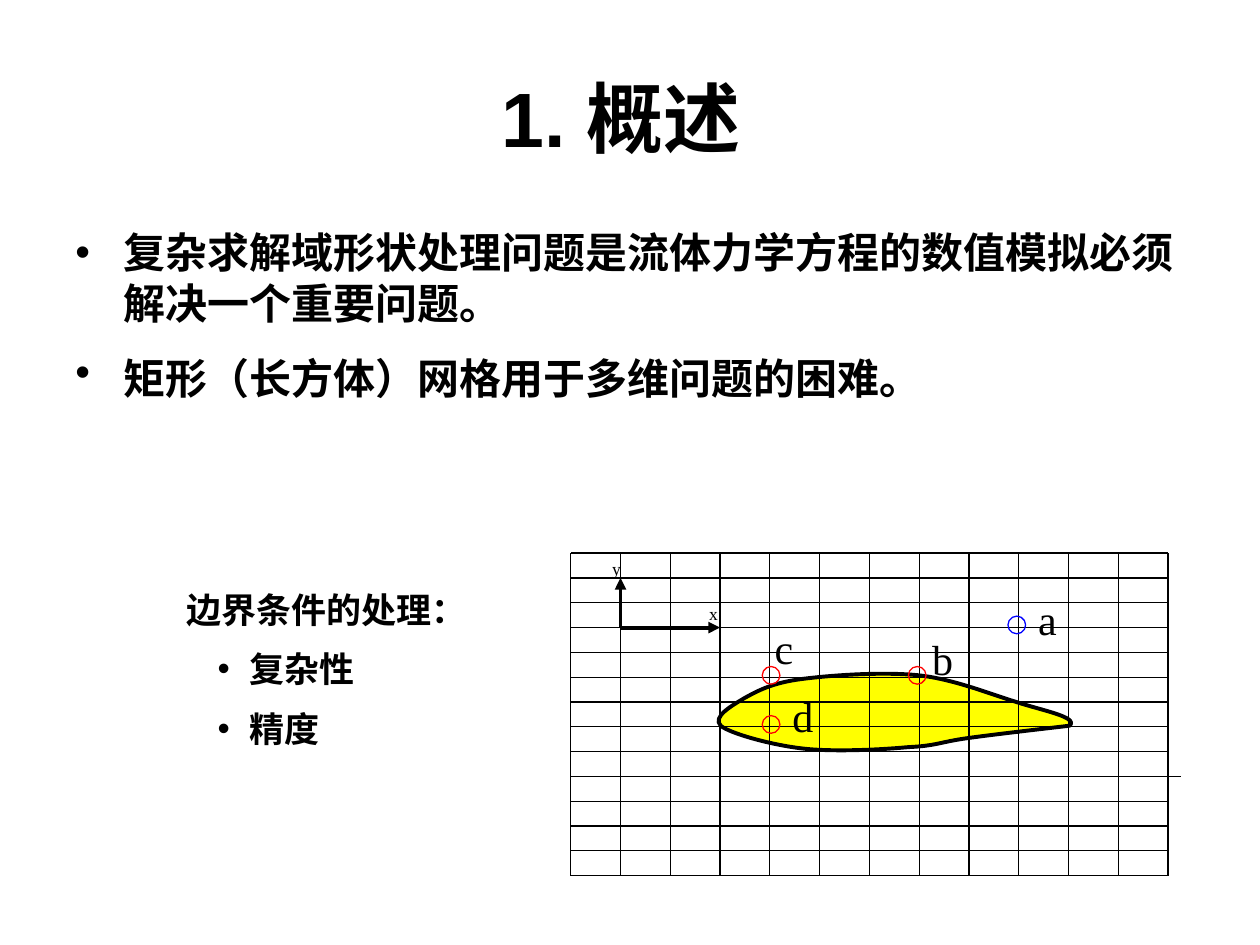
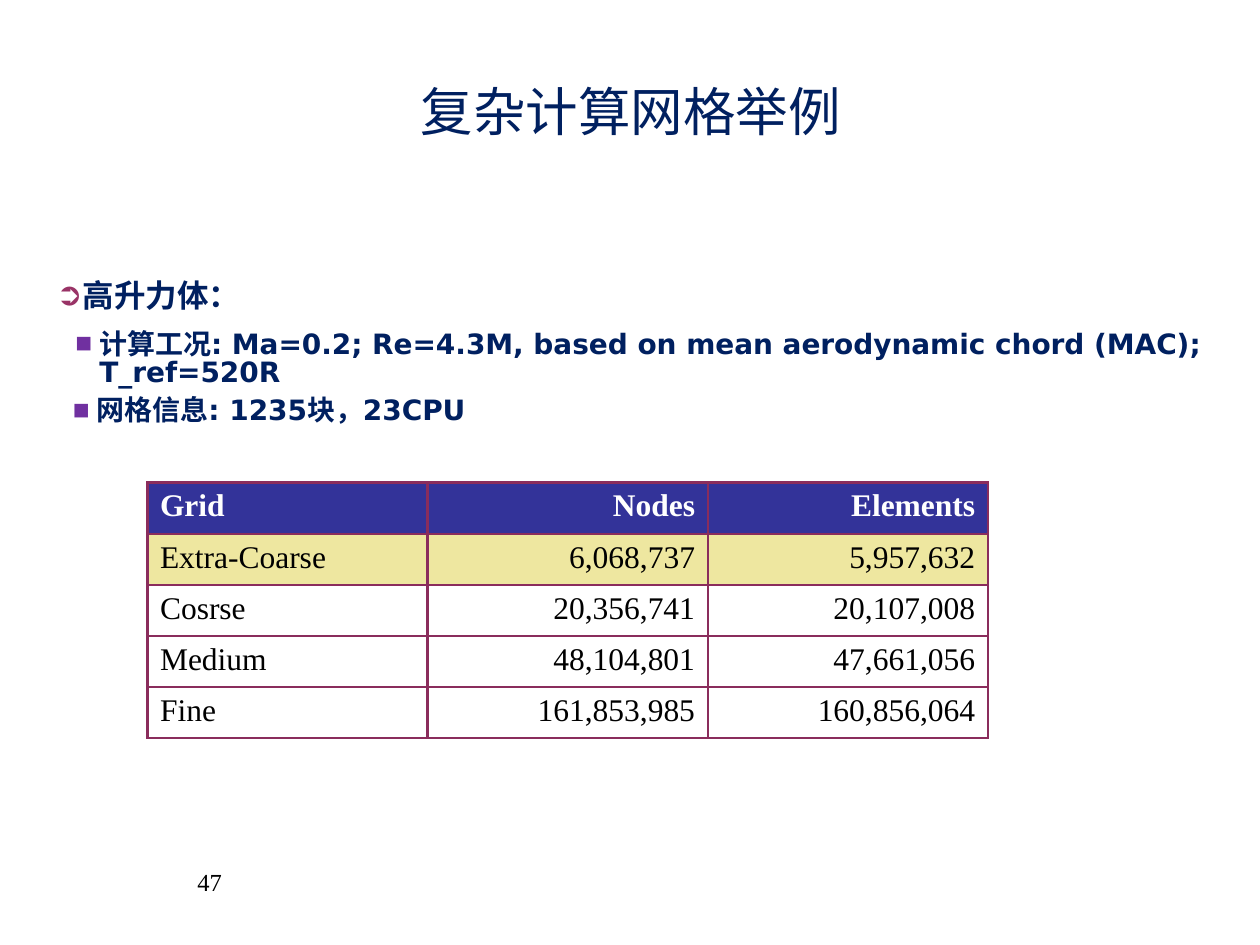
from pptx import Presentation
from pptx.dml.color import RGBColor as Rgb
from pptx.enum.shapes import MSO_CONNECTOR as Conn, MSO_SHAPE as Shape
from pptx.enum.text import MSO_ANCHOR as Anchor, PP_ALIGN as Align
from pptx.oxml.ns import qn
from pptx.util import Inches, Pt
from lxml.etree import SubElement as Sub

HUES = {"ink": "000000", "white": "FFFFFF", "navy": "002060", "head": "333399",
        "sand": "EEE7A0", "rule": "8A2D5C", "plum": "993366", "violet": "7030A0",
        "yellow": "FFFF00", "red": "FF0000", "blue": "0000FF"}
SANS, SERIF, HAN, WIDE = "Arial", "Times New Roman", "Noto Sans CJK SC", "DejaVu Sans"
SIDES = {"l": Align.LEFT, "c": Align.CENTER, "r": Align.RIGHT}

FOIL = [(3.96, 1.37),
        (4.03, 1.3), (3.74, 1.25), (3.53, 1.18),
        (3.33, 1.12), (3.04, 1), (2.76, 0.97),
        (2.47, 0.94), (2.06, 0.97), (1.83, 1),
        (1.6, 1.03), (1.49, 1.09), (1.38, 1.15),
        (1.28, 1.21), (1.12, 1.3), (1.19, 1.37),
        (1.26, 1.43), (1.58, 1.52), (1.83, 1.55),
        (2.08, 1.58), (2.46, 1.56), (2.68, 1.54),
        (2.9, 1.53), (2.93, 1.5), (3.14, 1.47),
        (3.35, 1.44), (3.79, 1.39), (3.96, 1.37)]
MARKS = [("a", 3.61, 0.27, 24), ("b", 2.77, 0.59, 24), ("c", 1.52, 0.5, 24),
         ("d", 1.66, 1.04, 24), ("x", 1, 0.35, 10), ("y", 0.23, -0.01, 10)]
RINGS = [(3.47, 0.5, "blue"), (2.68, 0.9, "red"), (1.52, 0.9, "red"), (1.52, 1.29, "red")]
ROWS = [("Grid", "Nodes", "Elements"),
        ("Extra-Coarse", "6,068,737", "5,957,632"),
        ("Cosrse", "20,356,741", "20,107,008"),
        ("Medium", "48,104,801", "47,661,056"),
        ("Fine", "161,853,985", "160,856,064")]


def rgb(name):
    return Rgb.from_string(HUES[name])


def write(para, text, size=18, face=SANS, hue="ink", bold=False, side="l",
          dot=None, tint=None, indent=None, before=None, lead=None, tail=None):
    props = para._p.get_or_add_pPr()
    if indent:
        props.set("marL", str(Inches(indent[0])))
        props.set("indent", str(Inches(indent[1])))
    if tint:
        Sub(Sub(props, qn("a:buClr")), qn("a:srgbClr"), val=HUES[tint])
    if dot:
        Sub(props, qn("a:buFont"), typeface=SANS)
        Sub(props, qn("a:buChar"), char=dot)
    para.alignment = SIDES[side]
    if before:
        para.space_before = Pt(before)
    if lead:
        para.line_spacing = lead
    run = para.add_run()
    run.text = text
    font = run.font
    font.size, font.name, font.bold = Pt(size), face, bold
    font.color.rgb = rgb(hue)
    if face == HAN:
        Sub(run._r.get_or_add_rPr(), qn("a:ea"), typeface=HAN)
    if tail:
        write(para, " ", tail, face, hue)


def label(slide, box, *items, mid=False, **base):
    frame = slide.shapes.add_textbox(*map(Inches, box)).text_frame
    frame.word_wrap = True
    frame.vertical_anchor = Anchor.MIDDLE if mid else Anchor.TOP
    for i, (text, extra) in enumerate(items):
        para = frame.add_paragraph() if i else frame.paragraphs[0]
        write(para, text, **{**base, **extra})


def title(slide, box, text, **style):
    label(slide, box, (text, {}), mid=True, side="c", **style)


def line(slide, x1, y1, x2, y2, width=0.75, arrow=False):
    link = slide.shapes.add_connector(Conn.STRAIGHT, *map(Inches, (x1, y1, x2, y2)))
    link.line.color.rgb = rgb("ink")
    link.line.width = Pt(width)
    if arrow:
        Sub(link.line._get_or_add_ln(), qn("a:tailEnd"), type="triangle")
    Sub(link._element.spPr, qn("a:effectLst"))


def paint(shape, fill, edge, width):
    shape.shadow.inherit = False
    if fill:
        shape.fill.solid()
        shape.fill.fore_color.rgb = rgb(fill)
    else:
        shape.fill.background()
    shape.line.color.rgb = rgb(edge)
    shape.line.width = Pt(width)


def bend(shape):
    legs = list(shape._element.iter(qn("a:lnTo")))
    for i in range(0, len(legs), 3):
        trio = legs[i:i + 3]
        curve = trio[0].makeelement(qn("a:cubicBezTo"), {})
        trio[0].addprevious(curve)
        for leg in trio:
            curve.append(leg[0])
            leg.getparent().remove(leg)


def foil(slide, left, top):
    dots = [(Inches(left + x), Inches(top + y)) for x, y in FOIL]
    pen = slide.shapes.build_freeform(*dots[0])
    pen.add_line_segments(dots[1:], close=True)
    wing = pen.convert_to_shape()
    bend(wing)
    paint(wing, "yellow", "ink", 2.25)


def mesh(slide, box, cols=12, rows=13):
    left, top, wide, high = box
    dx, dy = wide / cols, high / rows
    foil(slide, left, top)
    for i in range(cols + 1):
        line(slide, left + i * dx, top, left + i * dx, top + high)
    for j in range(rows + 1):
        line(slide, left, top + j * dy, left + wide, top + j * dy)
    line(slide, left + 0.1, top + 9 * dy, left + wide + 0.1, top + 9 * dy)
    for text, x, y, size in MARKS:
        label(slide, (left + x, top + y, 0.41, 0.51), (text, {}), size=size, face=SERIF)
    x, y = left + dx, top + 3 * dy
    line(slide, x, y, x + 2 * dx, y, 2.25, True)
    line(slide, x, y, x, y - 2 * dy, 2.25, True)
    for x, y, hue in RINGS:
        ring = slide.shapes.add_shape(
            Shape.OVAL, *map(Inches, (left + x, top + y, 0.14, 0.14)))
        paint(ring, None, hue, 0.75)


def edge(cell):
    props = cell._tc.get_or_add_tcPr()
    for tag in ("a:lnL", "a:lnR", "a:lnT", "a:lnB"):
        rule = Sub(props, qn(tag), w=str(Pt(1.5)))
        Sub(Sub(rule, qn("a:solidFill")), qn("a:srgbClr"), val=HUES["rule"])


def sizes(slide, box):
    grid = slide.shapes.add_table(len(ROWS), len(ROWS[0]), *map(Inches, box)).table
    grid.first_row = grid.horz_banding = False
    fills = {0: "head", 1: "sand"}
    for i, row in enumerate(ROWS):
        for j, text in enumerate(row):
            cell = grid.cell(i, j)
            edge(cell)
            if i in fills:
                cell.fill.solid()
                cell.fill.fore_color.rgb = rgb(fills[i])
            else:
                cell.fill.background()
            write(cell.text_frame.paragraphs[0], text, face=SERIF, bold=i == 0,
                  hue="ink" if i else "white", side="r" if j else "l")


def intro(slide):
    title(slide, (0.5, 0.3, 9, 1.25), "1. 概述 ", size=44, bold=True)
    label(slide, (0.5, 1.75, 9, 4.95),
          ("复杂求解域形状处理问题是流体力学方程的数值模拟必须解决一个重要问题。", {}),
          ("矩形（长方体）网格用于多维问题的困难。", {"before": 6.4, "tail": 32}),
          size=24, bold=True, dot="•", indent=(0.38, -0.38))
    mesh(slide, (4.53, 4.39, 4.74, 2.56))
    point = {"dot": "•", "indent": (0.5, -0.25), "before": 10}
    label(slide, (1.38, 4.62, 2.6, 1.93), ("边界条件的处理：", {}),
          ("复杂性", point), ("精度", point), size=20, bold=True)


def sample(slide):
    label(slide, (0.5, 6.83, 2.33, 0.52), ("47", {}), size=14, face=SERIF, side="c")
    base = {"hue": "navy", "bold": True, "indent": (0.19, -0.19)}
    label(slide, (0.35, 2.08, 3.23, 0.49), ("高升力体：", {}),
          face=HAN, dot="➲", tint="plum", lead=1.2, **base)
    facts = [((0.5, 2.58, 9.25, 0.39), "计算工况: Ma=0.2; Re=4.3M, based on mean "
              "aerodynamic chord (MAC); T_ref=520R"),
             ((0.48, 3.11, 8.84, 0.39), "网格信息: 1235块，23CPU")]
    for box, text in facts:
        label(slide, box, (text, {}), size=16, face=WIDE, dot="■", tint="violet",
              lead=0.85, **base)
    sizes(slide, (1.17, 3.83, 6.67, 2.03))
    title(slide, (0.67, 0.5, 8.67, 0.76), "复杂计算网格举例",
          size=30, face=HAN, hue="navy")


def main():
    deck = Presentation()
    deck.slide_width, deck.slide_height = Inches(10), Inches(7.5)
    for build in (intro, sample):
        build(deck.slides.add_slide(deck.slide_layouts[6]))
    deck.save("out.pptx")


if __name__ == "__main__":
    main()
